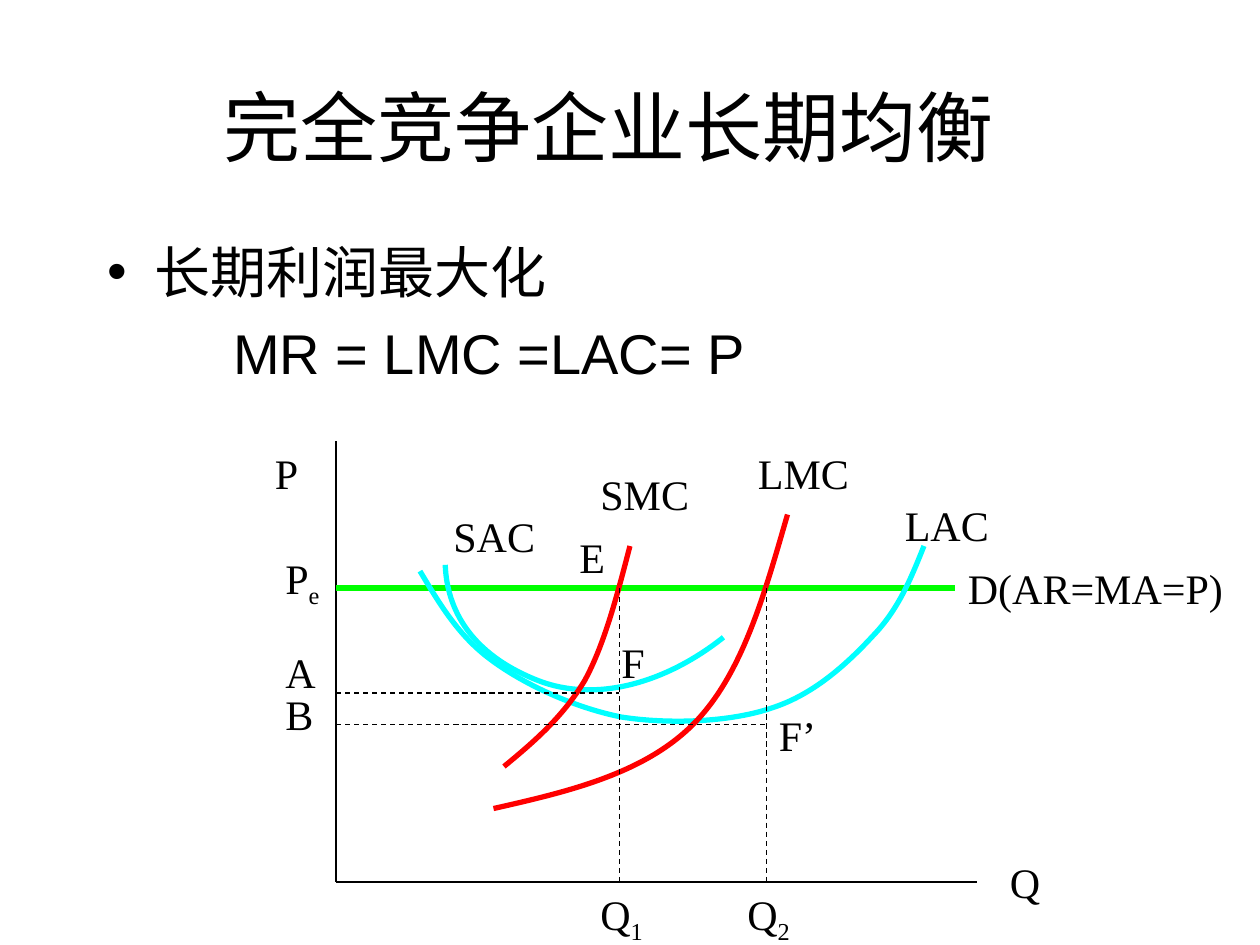
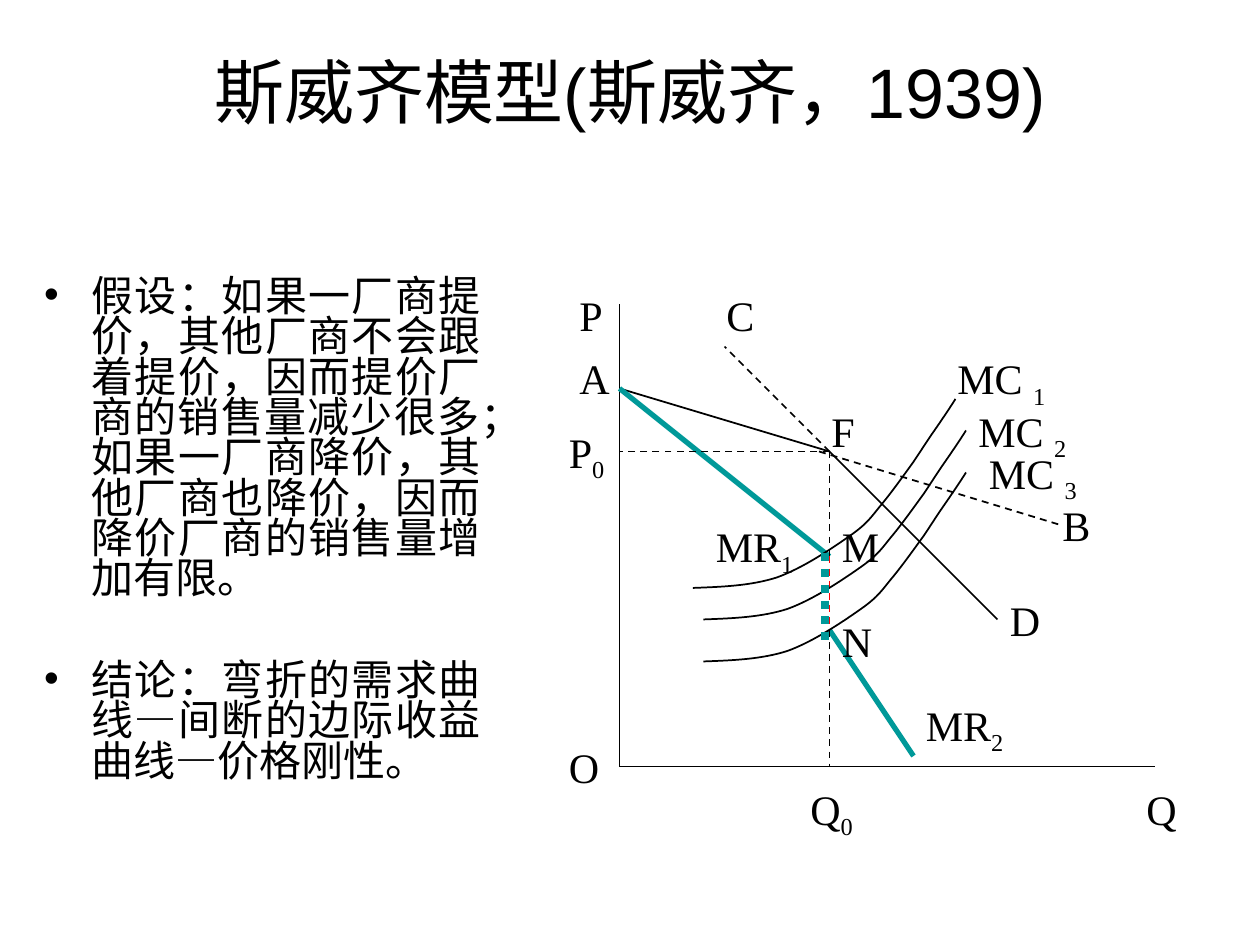
from dataclasses import dataclass
from lxml import etree
from pptx import Presentation
from pptx.dml.color import RGBColor
from pptx.enum.dml import MSO_LINE
from pptx.enum.shapes import MSO_CONNECTOR
from pptx.enum.text import MSO_ANCHOR, MSO_AUTO_SIZE, PP_ALIGN
from pptx.oxml.ns import qn
from pptx.util import Cm, Pt

DASH, DOTS = MSO_LINE.DASH, MSO_LINE.ROUND_DOT
LEFT, MID, JUST = PP_ALIGN.LEFT, PP_ALIGN.CENTER, PP_ALIGN.JUSTIFY
TOP, CENTER = MSO_ANCHOR.TOP, MSO_ANCHOR.MIDDLE
FIXED, GROW = MSO_AUTO_SIZE.NONE, MSO_AUTO_SIZE.SHAPE_TO_FIT_TEXT
STRAIGHT = MSO_CONNECTOR.STRAIGHT


@dataclass(frozen=True)
class Theme:
    black: str = "000000"
    green: str = "00FF00"
    cyan: str = "00FFFF"
    red: str = "FF0000"
    teal: str = "009999"
    sans: str = "Arial"
    serif: str = "Times New Roman"
    label: int = 24
    bold: float = 3
    thick: float = 4.5


LOOK = Theme()
STEP = 2.54 / 12

THIN = (LOOK.black, 0.75, None)
THIN_DASH = (LOOK.black, 0.75, DASH)
FINE = (LOOK.black, 1, None)
FINE_DASH = (LOOK.black, 1, DASH)
RED_DASH = (LOOK.red, 1, DASH)
GREEN = (LOOK.green, LOOK.bold, None)
CYAN = (LOOK.cyan, LOOK.bold, None)
RED = (LOOK.red, LOOK.bold, None)
TEAL = (LOOK.teal, LOOK.bold, None)
TEAL_DOTS = (LOOK.teal, LOOK.thick, DOTS)

LAC = [(40, 54.4), (41.8, 57.4), (43.6, 60.5), (46.7, 62.8), (49.9, 65.2),
       (54.7, 67.4), (59.2, 68.3), (63.7, 69), (69.6, 68.8), (73.6, 67.4),
       (77.6, 66.1), (80.8, 63.1), (83.2, 60.5), (85.6, 58), (86.8, 55), (88, 52)]
LMC = [(75, 49), (72.8, 56.6), (70.7, 64.3), (66, 69), (61.3, 73.7),
       (54.1, 75.4), (47, 77)]
SAC = [(68.9, 60.7), (63.5, 65), (56.8, 67), (51.2, 64.8), (45.6, 62.6),
       (42.6, 58.8), (42.4, 53.8)]
SMC = [(60, 52), (58.8, 56.6), (57.6, 61.3), (55.7, 64.8), (53.6, 68.3),
       (50.8, 70.7), (48, 73)]
MC = [(0, 0), (2.8, -0.1), (5.5, -0.2), (8, -1), (10.5, -1.9), (13.3, -3.8),
      (15, -5), (16.7, -6.2), (17, -6.8), (18, -8), (19, -9.2), (20.2, -10.9),
      (21, -12), (21.8, -13.2), (22.3, -14), (23, -15), (23.7, -16),
      (24.7, -17.5), (25, -18)]
MC_STARTS = [(66, 56), (67, 59), (67, 63)]

SLIDES = [
    {
        "title": ("完全竞争企业长期均衡", 44, (5, 8, 106, 8)),
        "body": (32, (9, 22, 102, 68), LEFT, 1.0, [
            ("长期利润最大化", True, 0),
            ("MR = LMC =LAC= P", False, 8),
        ]),
        "strokes": [
            ([(32, 42), (32, 84)], THIN),
            ([(32, 84), (93, 84)], THIN),
            ([(32, 56), (91, 56)], GREEN),
            (LAC, CYAN),
            (LMC, RED),
            (SAC, CYAN),
            (SMC, RED),
            ([(73, 56), (73, 84)], THIN_DASH),
            ([(59, 56), (59, 84)], THIN_DASH),
            ([(32, 66), (59, 66)], THIN_DASH),
            ([(32, 69), (73, 69)], THIN_DASH),
        ],
        "labels": [
            ("P", 25, 42, 13), ("P_e", 26, 52, 6), ("A", 26, 61, 6),
            ("B", 26, 65, 6), ("Q_1", 56, 84, 8), ("Q_2", 70, 84, 9),
            ("Q", 95, 81, 6), ("E", 54, 50, 5), ("F", 58, 60, 5),
            ("F’", 73, 67, 7), ("SMC", 56, 44, 12), ("LMC", 71, 42, 14),
            ("LAC", 85, 47, 13), ("SAC", 42, 48, 12), ("D(AR=MA=P)", 91, 53, 29),
        ],
    },
    {
        "title": ("斯威齐模型(斯威齐，1939)", 40, (6, 3.6, 108, 10)),
        "body": (24, (3, 26, 44, 54), JUST, 0.8, [
            ("假设：如果一厂商提价，其他厂商不会跟着提价，因而提价厂商的销售量减少很多；"
             "如果一厂商降价，其他厂商也降价，因而降价厂商的销售量增加有限。", True, 0),
            ("结论：弯折的需求曲线—间断的边际收益曲线—价格刚性。", True, 35),
        ]),
        "strokes": [
            ([(59, 29), (59, 73)], FINE),
            ([(59, 73), (110, 73)], FINE),
            ([(79, 43), (95, 59)], FINE),
            ([(78, 43), (101, 50)], FINE_DASH),
            ([(79, 43), (69, 33)], FINE_DASH),
            ([(79, 43), (59, 37)], FINE),
            ([(59, 37), (79, 53)], TEAL),
            ([(79, 60), (87, 72)], TEAL),
            ([(79, 43), (79, 53)], FINE_DASH),
            ([(79, 53), (79, 60)], RED_DASH),
            ([(79, 60), (79, 73)], FINE_DASH),
            ([(79, 43), (59, 43)], FINE_DASH),
            *[([(x + dx, y + dy) for dx, dy in MC], FINE) for x, y in MC_STARTS],
            ([(78.6, 52.7), (78.6, 61.2)], TEAL_DOTS),
        ],
        "labels": [
            ("O", 53, 70, 8), ("Q", 108, 74, 8), ("P", 54, 27, 8),
            ("A", 54, 33, 8), ("F", 78, 38, 8), ("D", 95, 56, 8),
            ("B", 100, 47, 8), ("C", 68, 27, 8), ("P_0", 53, 40, 8),
            ("Q_0", 76, 74, 8), ("MR_2", 87, 66, 18), ("MR_1", 67, 49, 18),
            ("M", 79, 49, 8), ("N", 79, 58, 8), ("MC _1", 90, 33, 18),
            ("MC _2", 92, 38, 18), ("MC _3", 93, 42, 18),
        ],
    },
]


def grid(*spots):
    return [Cm(spot * STEP) for spot in spots]


def dress(item, **looks):
    for name, value in looks.items():
        setattr(item, name, value)


def write(para, text, face, size):
    run = para.add_run()
    run.text = text
    dress(run.font, name=face, size=Pt(size))
    run.font.color.rgb = RGBColor.from_string(LOOK.black)
    return run


def place(shape, box, anchor, fit):
    dress(shape, **dict(zip(("left", "top", "width", "height"), grid(*box))))
    frame = shape.text_frame
    dress(frame, word_wrap=True, auto_size=fit, vertical_anchor=anchor)
    return frame


def add_title(slide, text, size, box):
    para = place(slide.shapes.title, box, CENTER, FIXED).paragraphs[0]
    para.alignment = MID
    write(para, text, LOOK.sans, size)


def add_body(slide, size, box, align, pitch, items):
    frame = place(slide.placeholders[1], box, TOP, FIXED)
    for rank, (text, dot, gap) in enumerate(items):
        para = frame.add_paragraph() if rank else frame.paragraphs[0]
        dress(para, alignment=align, line_spacing=pitch, space_before=Pt(gap))
        props = para._p.get_or_add_pPr()
        props.set("marL", str(Cm(0.95 if dot else 2.54)))
        props.set("indent", str(Cm(-0.95 if dot else 0)))
        if dot:
            etree.SubElement(props, qn("a:buChar")).set("char", "•")
        else:
            etree.SubElement(props, qn("a:buNone"))
        write(para, text, LOOK.sans, size)


def add_curve(slide, points):
    start, *rest = [grid(*point) for point in points]
    pen = slide.shapes.build_freeform(*start, scale=1.0)
    pen.add_line_segments(rest, close=False)
    shape = pen.convert_to_shape()
    shape.fill.background()
    route = next(shape._element.iter(qn("a:path")))
    parts = route.findall(qn("a:lnTo"))
    for first in range(0, len(parts), 3):
        bend = etree.SubElement(route, qn("a:cubicBezTo"))
        for part in parts[first:first + 3]:
            bend.append(part[0])
            route.remove(part)
    return shape


def add_stroke(slide, points, style):
    if len(points) == 2:
        shape = slide.shapes.add_connector(STRAIGHT, *grid(*points[0], *points[1]))
    else:
        shape = add_curve(slide, points)
    ink, width, dash = style
    shape.line.color.rgb = RGBColor.from_string(ink)
    dress(shape.line, width=Pt(width), dash_style=dash)
    etree.SubElement(shape._element.spPr, qn("a:effectLst"))


def add_label(slide, text, x, y, width):
    main, _, sub = text.partition("_")
    box = (x, y, width, 6.7 if sub else 6)
    shape = slide.shapes.add_textbox(*grid(*box))
    para = place(shape, box, TOP, GROW).paragraphs[0]
    write(para, main, LOOK.serif, LOOK.label)
    if sub:
        run = write(para, sub, LOOK.serif, LOOK.label)
        run._r.get_or_add_rPr().set("baseline", "-25000")


def main():
    deck = Presentation()
    dress(deck, slide_width=Cm(25.4), slide_height=Cm(19.05))
    for plan in SLIDES:
        slide = deck.slides.add_slide(deck.slide_layouts[1])
        add_title(slide, *plan["title"])
        add_body(slide, *plan["body"])
        for stroke in plan["strokes"]:
            add_stroke(slide, *stroke)
        for label in plan["labels"]:
            add_label(slide, *label)
    deck.save("out.pptx")


if __name__ == "__main__":
    main()
